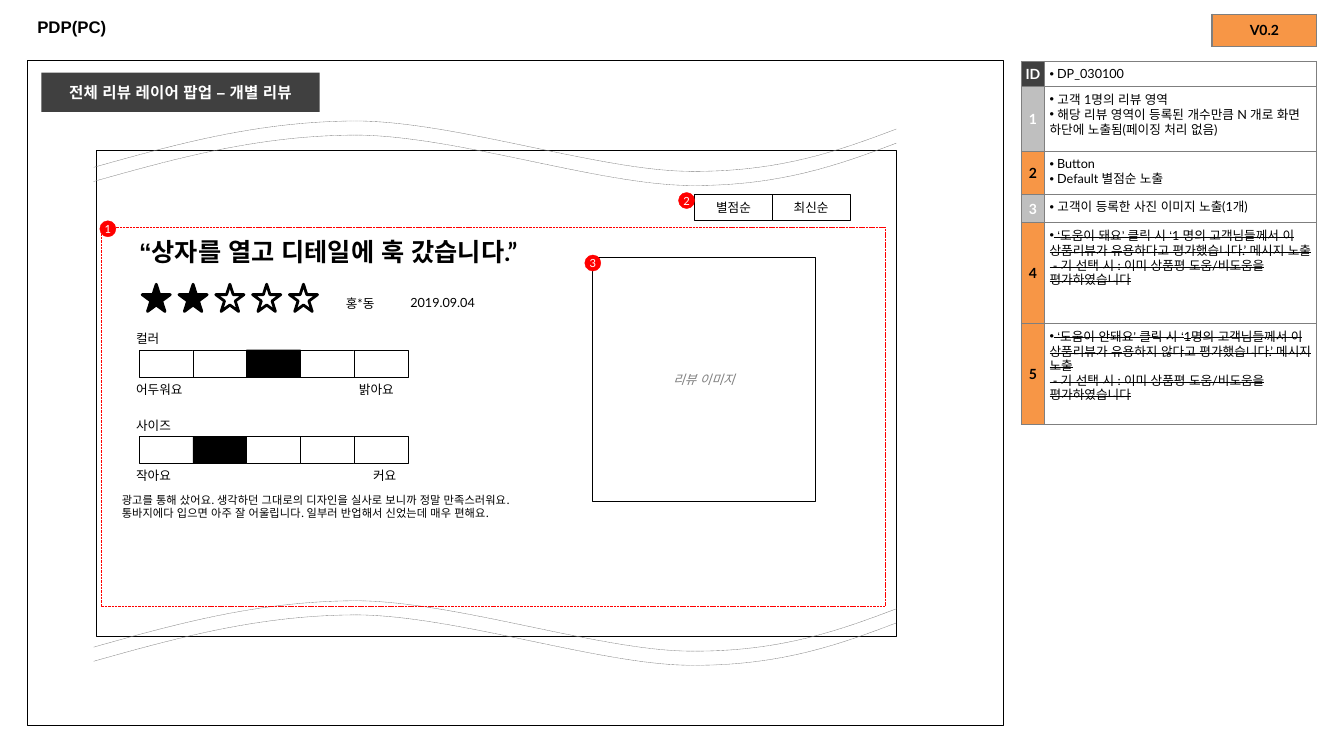
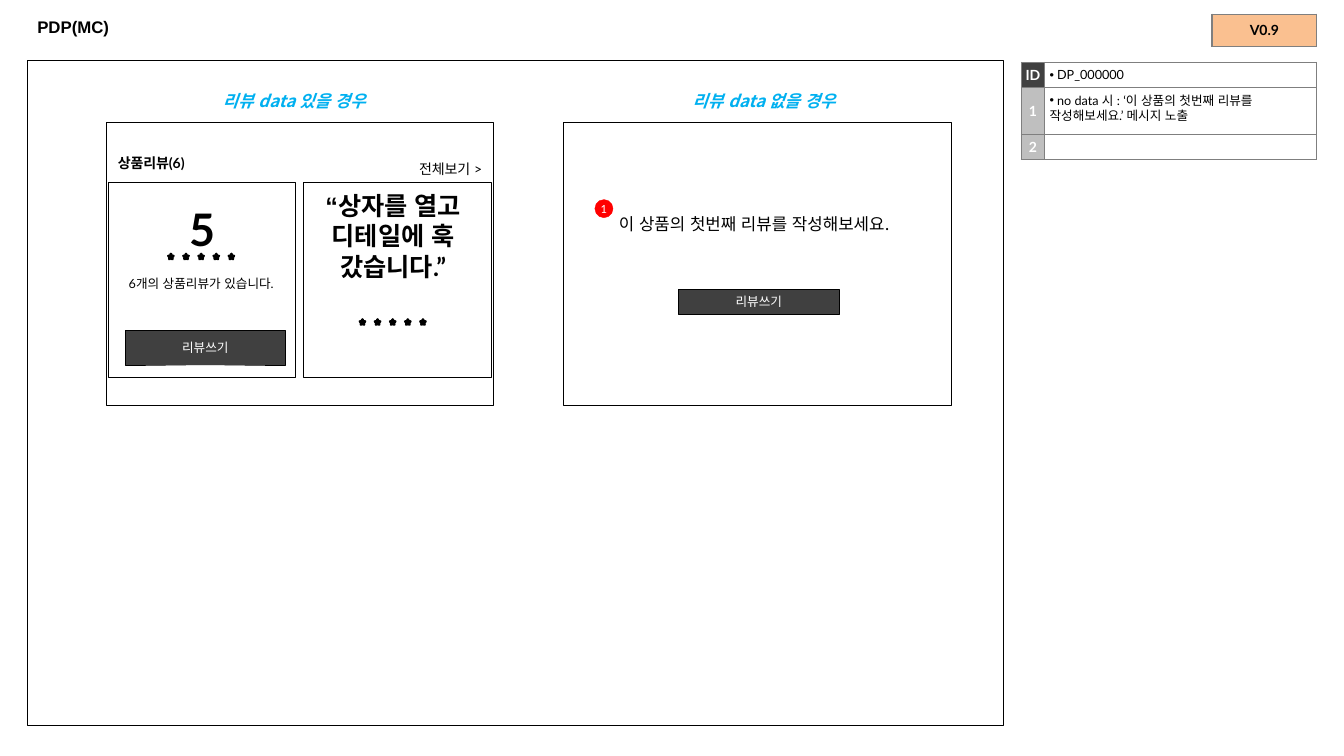
from lxml.etree import SubElement
from pptx import Presentation
from pptx.dml.color import RGBColor
from pptx.enum.dml import MSO_LINE
from pptx.enum.shapes import MSO_SHAPE
from pptx.enum.text import MSO_ANCHOR, PP_ALIGN
from pptx.oxml.ns import qn
from pptx.util import Inches, Pt

BLACK, WHITE, RED = "000000", "FFFFFF", "FF0000"
DARK, GREY, MUTED = "404040", "808080", "BFBFBF"
ORANGE, PEACH, BLUE = "F79646", "FAC090", "00B0F0"
BORDER = "7F7F7F"
LATIN, KOREAN, HEADING = "Lato", "Noto Sans CJK KR", "Arial"
LEFT, CENTER, RIGHT = PP_ALIGN.LEFT, PP_ALIGN.CENTER, PP_ALIGN.RIGHT
TIGHT = 0.04
LABEL_WIDTH, NOTE_WIDTH = 0.23, 2.7
HEADLINE = "“상자를 열고 디테일에 훅 갔습니다.”"


def rgb(value):
    return RGBColor.from_string(value)


def add_span(para, text, size, color=BLACK, font=LATIN, bold=False, italic=False, strike=False):
    span = para.add_run()
    span.text = text
    span.font.name = font
    span.font.size = Pt(size)
    span.font.color.rgb = rgb(color)
    span.font.bold = bold
    span.font.italic = italic
    properties = span.font._element
    properties.set("lang", "ko-KR")
    SubElement(properties, qn("a:ea"), typeface=HEADING)
    if strike:
        properties.set("strike", "sngStrike")


def set_margins(target, margin):
    target.margin_left = target.margin_right = Inches(margin)
    target.margin_top = target.margin_bottom = Inches(margin)


def add_text(slide, text, left, top, width, height, size=9, align=LEFT, **style):
    box = slide.shapes.add_textbox(Inches(left), Inches(top), Inches(width), Inches(height))
    frame = box.text_frame
    frame.word_wrap = True
    para = frame.paragraphs[0]
    para.alignment = align
    add_span(para, text, size, **style)
    return box


def add_label(slide, text, left, top, width, align=LEFT):
    """Add a small caption with tight margins and open line spacing."""
    box = add_text(slide, text, left, top, width, 0.32, align=align)
    set_margins(box.text_frame, TIGHT)
    box.text_frame.paragraphs[0].line_spacing = 1.5


def outline(shape, color, weight, dashed=False):
    shape.shadow.inherit = False
    if color is None:
        shape.line.fill.background()
        return
    shape.line.color.rgb = rgb(color)
    shape.line.width = Pt(weight)
    if dashed:
        shape.line.dash_style = MSO_LINE.SQUARE_DOT


def add_box(slide, left, top, width, height, fill=None, line=BLACK, weight=0.25,
            dashed=False, kind=MSO_SHAPE.RECTANGLE):
    shape = slide.shapes.add_shape(kind, Inches(left), Inches(top), Inches(width), Inches(height))
    if fill:
        shape.fill.solid()
        shape.fill.fore_color.rgb = rgb(fill)
    else:
        shape.fill.background()
    outline(shape, line, weight, dashed)
    return shape


def write_centered(shape, text, size=9, margin=TIGHT, **style):
    frame = shape.text_frame
    frame.word_wrap = True
    frame.vertical_anchor = MSO_ANCHOR.MIDDLE
    set_margins(frame, margin)
    para = frame.paragraphs[0]
    para.alignment = CENTER
    add_span(para, text, size, **style)


def add_button(slide, text, left, top, width, height, fill=WHITE, color=BLACK):
    write_centered(add_box(slide, left, top, width, height, fill), text, color=color)


def add_marker(slide, number, left, top, size=0.16):
    marker = add_box(slide, left, top, size, size, RED, RED, kind=MSO_SHAPE.OVAL)
    write_centered(marker, str(number), 8, 0, color=WHITE)


def add_stars(slide, left, top, width, height, pitch, filled=0, empty_fill=None):
    for index in range(5):
        fill = BLACK if index < filled else empty_fill
        add_box(slide, left + index * pitch, top, width, height, fill, weight=2,
                kind=MSO_SHAPE.STAR_5_POINT)


def add_scale(slide, title, low, high, top, chosen, high_left):
    """Add a titled five-step rating scale with one step chosen."""
    add_label(slide, title, 1.31, top - 0.3, 1.75)
    pitch = 2.13 / 4
    for step in range(5):
        fill = BLACK if step == chosen else WHITE
        add_box(slide, 1.38 + step * pitch, top, 0.54, 0.27, fill)
    add_label(slide, low, 1.31, top + 0.2, 0.59)
    add_label(slide, high, high_left, top + 0.2, 0.59)


def add_wave(slide, top):
    """Draw a dashed wave of three cubic curves, built from their control points."""
    start, *controls = [
        (0.93, 0.46), (1.75, 0.23), (2.57, 0), (3.55, 0),
        (4.53, 0.01), (5.94, 0.49), (6.83, 0.5),
        (7.72, 0.51), (8.31, 0.3), (8.89, 0.08),
    ]
    builder = slide.shapes.build_freeform(Inches(start[0]), Inches(top + start[1]))
    builder.add_line_segments([(Inches(x), Inches(top + y)) for x, y in controls], close=False)
    wave = builder.convert_to_shape()
    outline_path = wave._element.find(".//" + qn("a:path"))
    segments = outline_path.findall(qn("a:lnTo"))
    for first in range(0, len(segments), 3):
        curve = SubElement(outline_path, qn("a:cubicBezTo"))
        for segment in segments[first:first + 3]:
            curve.append(segment[0])
            outline_path.remove(segment)
    wave.fill.background()
    outline(wave, GREY, 0.25, dashed=True)


def style_cell(cell, fill, margin):
    set_margins(cell, margin)
    properties = cell._tc.get_or_add_tcPr()
    for side in ("a:lnL", "a:lnR", "a:lnT", "a:lnB"):
        border = SubElement(properties, qn(side), w=str(Pt(1)))
        solid = SubElement(border, qn("a:solidFill"))
        SubElement(solid, qn("a:srgbClr"), val=BORDER)
    if fill:
        cell.fill.solid()
        cell.fill.fore_color.rgb = rgb(fill)
    else:
        cell.fill.background()


def fill_label_cell(cell, text, fill, color=BLACK):
    style_cell(cell, fill, 0)
    cell.vertical_anchor = MSO_ANCHOR.MIDDLE
    para = cell.text_frame.paragraphs[0]
    para.alignment = CENTER
    add_span(para, text, 10, color, bold=True)


def fill_note_cell(cell, lines, strike):
    style_cell(cell, None, 0.05)
    frame = cell.text_frame
    if not lines:
        SubElement(frame.paragraphs[0]._p, qn("a:endParaRPr"), sz="900")
    for index, line in enumerate(lines):
        para = frame.add_paragraph() if index else frame.paragraphs[0]
        if not line.startswith(" -"):
            properties = para._p.get_or_add_pPr()
            properties.set("marL", "0")
            properties.set("indent", "0")
            SubElement(properties, qn("a:buFont"), typeface=HEADING)
            SubElement(properties, qn("a:buChar"), char="•")
        add_span(para, line, 9, strike=strike)


def add_grid(slide, left, top, widths, heights):
    frame = slide.shapes.add_table(len(heights), len(widths), Inches(left), Inches(top),
                                   Inches(sum(widths)), Inches(sum(heights)))
    table = frame.table
    table.first_row = table.horz_banding = False
    for column, width in zip(table.columns, widths):
        column.width = Inches(width)
    for row, height in zip(table.rows, heights):
        row.height = Inches(height)
    return table


def add_notes_table(slide, top, rows):
    """Add the description table; a row is label, fill, height, lines, strike."""
    table = add_grid(slide, 10.13, top, (LABEL_WIDTH, NOTE_WIDTH), [row[2] for row in rows])
    for index, (label, fill, _, lines, strike) in enumerate(rows):
        color = BLACK if fill == ORANGE else WHITE
        fill_label_cell(table.cell(index, 0), label, fill, color)
        fill_note_cell(table.cell(index, 1), lines, strike)


def add_page(deck, title, version, version_fill):
    slide = deck.slides.add_slide(deck.slide_layouts[5])
    heading = slide.shapes.title
    heading.left, heading.top = Inches(0.27), Inches(0.07)
    heading.width, heading.height = Inches(12.79), Inches(0.39)
    heading.text_frame.vertical_anchor = MSO_ANCHOR.MIDDLE
    para = heading.text_frame.paragraphs[0]
    para.alignment = LEFT
    add_span(para, title, 12, font=HEADING, bold=True)
    add_box(slide, 0.27, 0.6, 9.68, 6.6, weight=0.75)
    badge = add_grid(slide, 12.02, 0.14, (1.04,), (0.32,))
    fill_label_cell(badge.cell(0, 0), version, version_fill)
    return slide


def build_review_popup(deck):
    slide = add_page(deck, "PDP(PC)", "V0.2", ORANGE)
    already_rated = " - 기 선택 시 : 이미 상품평 도움/비도움을 평가하였습니다"
    add_notes_table(slide, 0.61, [
        ("ID", DARK, 0.24, [" DP_030100"], False),
        ("1", MUTED, 0.64, [" 고객 1명의 리뷰 영역",
                            " 해당 리뷰 영역이 등록된 개수만큼 N 개로 화면 하단에 노출됨(페이징 처리 없음)"], False),
        ("2", ORANGE, 0.43, [" Button", " Default 별점순 노출"], False),
        ("3", MUTED, 0.28, [" 고객이 등록한 사진 이미지 노출(1개)"], False),
        ("4", ORANGE, 1, [" ‘도움이 돼요’ 클릭 시 ‘1 명의 고객님들께서 이 상품리뷰가 유용하다고 "
                          "평가했습니다.’ 메시지 노출", already_rated], True),
        ("5", ORANGE, 1, [" ‘도움이 안돼요’ 클릭 시 ‘1명의 고객님들께서 이 상품리뷰가 유용하지 않다고 "
                          "평가했습니다.’ 메시지 노출", already_rated], True),
    ])
    add_box(slide, 0.95, 1.49, 7.94, 4.82)
    for top in (1.2, 1.34, 5.96, 6.1):
        add_wave(slide, top)

    add_text(slide, HEADLINE, 1.04, 2.3, 4.43, 0.54, 18, CENTER, bold=True)
    add_stars(slide, 1.41, 2.82, 0.28, 0.27, 0.365, filled=2)
    add_label(slide, "홍*동", 3.39, 2.82, 0.54)
    add_label(slide, "2019.09.04", 4.03, 2.81, 0.97)
    add_scale(slide, "컬러", "어두워요", "밝아요", 3.47, 2, 3.52)
    add_scale(slide, "사이즈", "작아요", "커요", 4.33, 1, 3.66)
    add_text(slide, "광고를 통해 샀어요. 생각하던 그대로의 디자인을 실사로 보니까 정말 만족스러워요. "
             "통바지에다 입으면 아주 잘 어울립니다. 일부러 반업해서 신었는데 매우 편해요.",
             1.11, 4.84, 4.43, 0.36, 8, font=KOREAN)

    photo = add_box(slide, 5.87, 2.55, 2.22, 2.42, WHITE)
    write_centered(photo, "리뷰 이미지", color=GREY, italic=True)
    for index, order in enumerate(("별점순", "최신순")):
        add_button(slide, order, 6.89 + index * 0.77, 1.93, 0.77, 0.26)
    add_box(slide, 1, 2.25, 7.78, 3.76, line=RED, dashed=True)
    for number, (left, top) in enumerate([(0.99, 2.19), (6.73, 1.91), (5.8, 2.53)], 1):
        add_marker(slide, number, left, top)
    banner = add_box(slide, 0.41, 0.72, 2.76, 0.39, DARK, None)
    write_centered(banner, "전체 리뷰 레이어 팝업 – 개별 리뷰", 11.1, color=WHITE,
                   font=HEADING, bold=True)


def build_review_summary(deck):
    slide = add_page(deck, "PDP(MC)", "V0.9", PEACH)
    add_notes_table(slide, 0.62, [
        ("ID", DARK, 0.24, [" DP_000000"], False),
        ("1", MUTED, 0.46, [" no data 시 : ‘이 상품의 첫번째 리뷰를 작성해보세요.’ 메시지 노출"], False),
        ("2", MUTED, 0.25, [], False),
    ])
    for caption, caption_left, left in (("리뷰 data 있을 경우", 2.11, 1.05),
                                        ("리뷰 data 없을 경우", 6.77, 5.59)):
        add_text(slide, caption, caption_left, 0.85, 2, 0.3, 12, color=BLUE,
                 font=KOREAN, bold=True, italic=True)
        add_box(slide, left, 1.21, 3.84, 2.81)

    add_text(slide, "상품리뷰(6)", 1.07, 1.48, 2.6, 0.27, 10, bold=True)
    add_text(slide, "전체보기 >", 3.79, 1.54, 1.09, 0.3, 10, RIGHT)
    for left in (1.07, 3.01):
        add_box(slide, left, 1.81, 1.86, 1.93)
    add_text(slide, "5", 1.66, 1.95, 0.69, 0.42, 32, CENTER, bold=True)
    add_label(slide, "6개의 상품리뷰가 있습니다.", 1.12, 2.62, 1.75, CENTER)
    add_text(slide, HEADLINE, 3.01, 1.84, 1.78, 1.31, 18, CENTER, bold=True)
    for left, top in ((1.67, 2.52), (3.57, 3.17)):
        add_stars(slide, left, top, 0.05, 0.05, 0.15, empty_fill=WHITE)

    add_text(slide, "이 상품의 첫번째 리뷰를 작성해보세요.", 6.04, 2.07, 3.18, 0.3, 12, font=KOREAN)
    add_marker(slide, 1, 5.9, 1.98, 0.18)
    for left, top, height in ((1.24, 3.28, 0.34), (6.73, 2.87, 0.25)):
        add_button(slide, "리뷰쓰기", left, top, 1.59, height, DARK, WHITE)


def main():
    deck = Presentation()
    deck.slide_width, deck.slide_height = Inches(13.33), Inches(7.5)
    build_review_popup(deck)
    build_review_summary(deck)
    deck.save("out.pptx")


if __name__ == "__main__":
    main()
